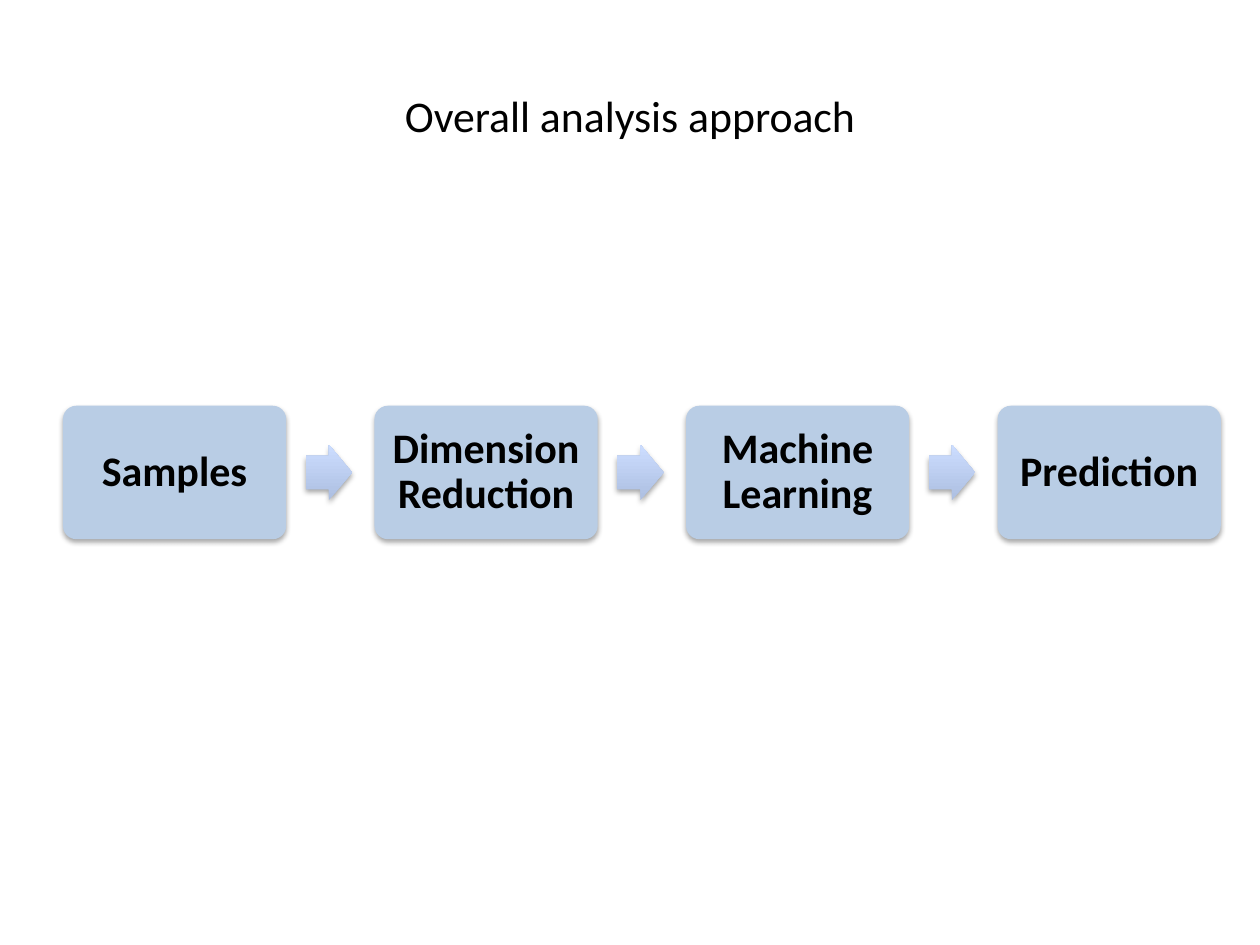
from lxml import etree
from pptx import Presentation
from pptx.dml.color import RGBColor
from pptx.enum.shapes import MSO_SHAPE
from pptx.enum.text import MSO_ANCHOR, PP_ALIGN
from pptx.oxml.ns import qn
from pptx.util import Cm, Pt

ROUNDED_BOX = MSO_SHAPE.ROUNDED_RECTANGLE
RIGHT_ARROW = MSO_SHAPE.RIGHT_ARROW
MIDDLE = MSO_ANCHOR.MIDDLE
CENTER = PP_ALIGN.CENTER

SLIDE_WIDTH, SLIDE_HEIGHT = 25.4, 19.05
MARGIN = 1.27
STEPS = ["Samples", "Dimension Reduction", "Machine Learning", "Prediction"]
BOX_WIDTH, BOX_HEIGHT = 4.5, 2.69
ARROW_WIDTH, ARROW_HEIGHT = 0.94, 1.12
ARROW_GAP = 0.45
STEP_PITCH = 6.28


def color(hex_string):
    return RGBColor.from_string(hex_string)


class ProcessSlide:
    """Draws the title, boxes and arrows of a process in one style."""

    font_name = "Calibri"
    text_color = "000000"
    box_color = "B9CDE5"
    arrow_colors = ("ADBFE1", "CCDDFF")

    def __init__(self, presentation):
        self.slide = presentation.slides.add_slide(presentation.slide_layouts[6])

    def set_text(self, shape, text, size, bold=False, line_spacing=1.0):
        frame = shape.text_frame
        frame.text = text
        frame.word_wrap = True
        frame.vertical_anchor = MIDDLE
        frame.margin_left = frame.margin_right = Cm(0.25)
        paragraph = frame.paragraphs[0]
        paragraph.alignment = CENTER
        paragraph.line_spacing = line_spacing
        font = paragraph.runs[0].font
        font.name, font.size, font.bold = self.font_name, Pt(size), bold
        font.color.rgb = color(self.text_color)

    def add_title(self, text, left, top, width, height):
        title = self.slide.shapes.add_textbox(Cm(left), Cm(top), Cm(width), Cm(height))
        self.set_text(title, text, 25)

    def add_shadowed(self, kind, left, width, height):
        top = (SLIDE_HEIGHT - height) / 2
        shape = self.slide.shapes.add_shape(kind, Cm(left), Cm(top), Cm(width), Cm(height))
        shape.line.fill.background()
        shape.shadow.inherit = False
        effects = shape.element.spPr.find(qn("a:effectLst"))
        shadow = etree.SubElement(
            effects, qn("a:outerShdw"), blurRad=str(Pt(3.1)), dist=str(Pt(1.8)),
            dir="5400000", rotWithShape="0")
        shade = etree.SubElement(shadow, qn("a:srgbClr"), val="000000")
        etree.SubElement(shade, qn("a:alpha"), val="35000")
        return shape

    def add_box(self, text, left):
        box = self.add_shadowed(ROUNDED_BOX, left, BOX_WIDTH, BOX_HEIGHT)
        box.adjustments[0] = 0.1
        box.fill.solid()
        box.fill.fore_color.rgb = color(self.box_color)
        self.set_text(box, text, 24, bold=True, line_spacing=0.9)

    def add_arrow(self, left):
        arrow = self.add_shadowed(RIGHT_ARROW, left, ARROW_WIDTH, ARROW_HEIGHT)
        arrow.adjustments[0] = 0.6
        arrow.adjustments[1] = 0.5
        arrow.fill.gradient()
        arrow.fill.gradient_angle = 90
        for stop, hex_string in zip(arrow.fill.gradient_stops, self.arrow_colors):
            stop.color.rgb = color(hex_string)


def main():
    presentation = Presentation()
    presentation.slide_width = Cm(SLIDE_WIDTH)
    presentation.slide_height = Cm(SLIDE_HEIGHT)
    process = ProcessSlide(presentation)
    process.add_title("Overall analysis approach", MARGIN, 0.76, SLIDE_WIDTH - 2 * MARGIN, 3.12)
    for index, step in enumerate(STEPS):
        left = MARGIN + index * STEP_PITCH
        if index:
            process.add_arrow(left - ARROW_GAP - ARROW_WIDTH)
        process.add_box(step, left)
    presentation.save("out.pptx")


if __name__ == "__main__":
    main()
